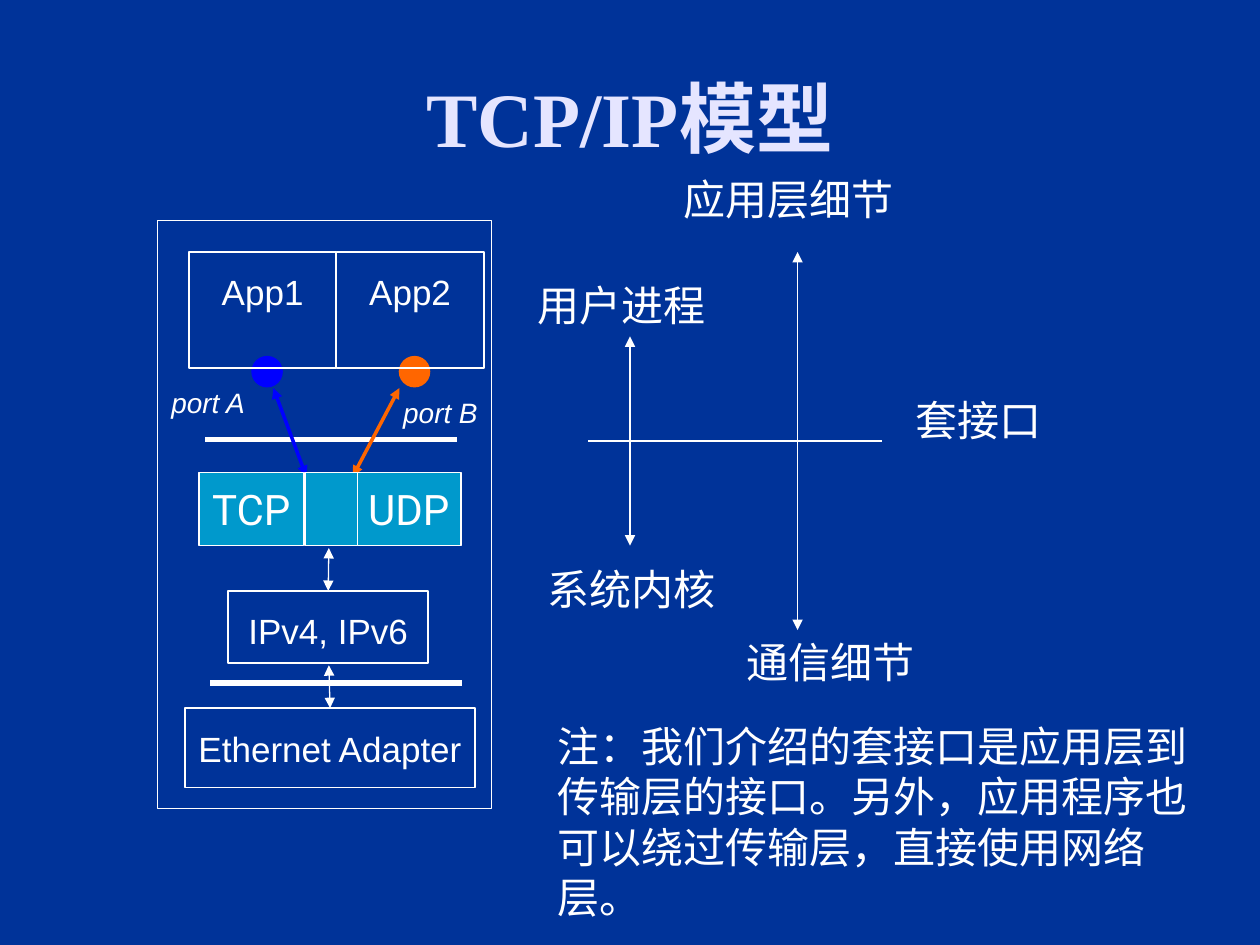
from dataclasses import dataclass
from typing import Optional

from lxml.etree import SubElement
from pptx import Presentation
from pptx.dml.color import RGBColor
from pptx.enum.shapes import MSO_CONNECTOR, MSO_SHAPE
from pptx.enum.text import MSO_ANCHOR, MSO_AUTO_SIZE, PP_ALIGN
from pptx.oxml.ns import qn
from pptx.util import Inches, Pt

COLORS = {
    "background": "003399",
    "title": "E5E5FF",
    "white": "FFFFFF",
    "transport": "0099CC",
    "tcp": "0000FF",
    "udp": "FF6600",
}


@dataclass
class Text:
    text: str
    size: float = 24
    font: str = "Roboto"
    color: str = "white"
    bold: bool = False
    italic: bool = False
    align: PP_ALIGN = PP_ALIGN.LEFT
    anchor: MSO_ANCHOR = MSO_ANCHOR.TOP
    margins: tuple[float, float] = (0.1, 0.05)
    wrap: bool = True
    grow: bool = False


@dataclass
class Box:
    left: float
    top: float
    width: float
    height: float
    text: Optional[Text] = None
    fill: Optional[str] = None
    line: str = "white"
    weight: float = 0.75
    shape: MSO_SHAPE = MSO_SHAPE.RECTANGLE


@dataclass
class Line:
    x1: float
    y1: float
    x2: float
    y2: float
    color: str = "white"
    weight: float = 0.75
    arrows: bool = False


def rgb(name: str) -> RGBColor:
    return RGBColor.from_string(COLORS[name])


def write(sp, t: Text) -> None:
    tf = sp.text_frame
    tf.word_wrap = t.wrap
    tf.auto_size = MSO_AUTO_SIZE.SHAPE_TO_FIT_TEXT if t.grow else MSO_AUTO_SIZE.NONE
    tf.vertical_anchor = t.anchor
    tf.margin_left = tf.margin_right = Inches(t.margins[0])
    tf.margin_top = tf.margin_bottom = Inches(t.margins[1])
    p = tf.paragraphs[0]
    p.text = t.text
    p.alignment = t.align
    p._p.get_or_add_pPr().set("hangingPunct", "0")
    p.font.size = Pt(t.size)
    p.font.name = t.font
    p.font.bold = t.bold
    p.font.italic = t.italic
    p.font.color.rgb = rgb(t.color)


def add_box(s, b: Box):
    sp = s.shapes.add_shape(
        b.shape, Inches(b.left), Inches(b.top), Inches(b.width), Inches(b.height))
    sp.shadow.inherit = False
    if b.fill:
        sp.fill.solid()
        sp.fill.fore_color.rgb = rgb(b.fill)
    else:
        sp.fill.background()
    sp.line.color.rgb = rgb(b.line)
    sp.line.width = Pt(b.weight)
    if b.text:
        write(sp, b.text)
    return sp


def add_label(s, left: float, top: float, width: float, height: float, t: Text) -> None:
    write(s.shapes.add_textbox(Inches(left), Inches(top), Inches(width), Inches(height)), t)


def add_line(s, n: Line):
    c = s.shapes.add_connector(
        MSO_CONNECTOR.STRAIGHT, Inches(n.x1), Inches(n.y1), Inches(n.x2), Inches(n.y2))
    c.line.color.rgb = rgb(n.color)
    c.line.width = Pt(n.weight)
    if n.arrows:
        ln = c.line._get_or_add_ln()
        for end in ("a:headEnd", "a:tailEnd"):
            SubElement(ln, qn(end), type="triangle")
    SubElement(c._element.spPr, qn("a:effectLst"))
    return c


def layer_text(text: str) -> Text:
    return Text(text, 20, "Arial", align=PP_ALIGN.CENTER, margins=(0.1, 0.15), wrap=False)


def transport_text(text: str) -> Text:
    return Text(text, align=PP_ALIGN.CENTER, anchor=MSO_ANCHOR.MIDDLE, wrap=False)


def port_text(text: str) -> Text:
    return Text(text, 16, "Arial", italic=True, margins=(0.11, 0.06), wrap=False)


def draw_stack(s) -> None:
    ipv = add_box(s, Box(1.81, 4.69, 1.59, 0.57, layer_text("IPv4, IPv6"), weight=1))
    ethernet = add_box(s, Box(1.47, 5.62, 2.3, 0.63, layer_text("Ethernet Adapter"), weight=1))
    for target, top, bottom in ((ipv, 4.35, 4.69), (ethernet, 5.28, 5.62)):
        add_line(s, Line(2.61, top, 2.61, bottom, arrows=True)).end_connect(target, 0)
    add_box(s, Box(1.25, 1.75, 2.65, 4.67))
    for left, y in ((1.63, 3.49), (1.67, 5.42)):
        add_line(s, Line(left, y, left + 2, y, weight=3))
    for color, left, x1, x2 in (("tcp", 2, 2.17, 2.43), ("udp", 3.17, 3.17, 2.8)):
        add_box(s, Box(left, 2.83, 0.24, 0.24, fill=color, line=color, shape=MSO_SHAPE.OVAL))
        add_line(s, Line(x1, 3.08, x2, 3.78, color, 2, True))
    for i, name in enumerate(("App1", "App2")):
        add_box(s, Box(1.5 + 1.17 * i, 2, 1.17, 0.92, layer_text(name), weight=1))
    for name, left, top in (("port A", 1.25, 3), ("port B", 3.09, 3.08)):
        add_label(s, left, top, 0.85, 0.38, port_text(name))
    for name, left in (("TCP", 1.58), ("UDP", 2.83)):
        add_box(s, Box(left, 3.75, 0.83, 0.58, transport_text(name), "transport"))
    add_box(s, Box(2.42, 3.75, 0.42, 0.58, fill="transport"))


def draw_boundary(s) -> None:
    add_line(s, Line(4.67, 3.5, 7, 3.5))
    add_line(s, Line(5, 2.67, 5, 4.33, arrows=True))
    add_line(s, Line(6.33, 2, 6.33, 5, arrows=True))
    note = "注：我们介绍的套接口是应用层到传输层的接口。另外，应用程序也可以绕过传输层，直接使用网络层。"
    for left, top, width, height, text in (
        (4.17, 2.17, 1.58, 0.5, "用户进程"),
        (4.25, 4.42, 1.58, 0.5, "系统内核"),
        (5.33, 1.33, 2.17, 0.5, "应用层细节"),
        (5.83, 5, 1.67, 0.5, "通信细节"),
        (4.33, 5.67, 5.33, 1.3, note),
        (7.17, 3.08, 2.08, 0.5, "套接口"),
    ):
        add_label(s, left, top, width, height, Text(text, grow=True))


def main() -> None:
    prs = Presentation()
    prs.slide_width, prs.slide_height = Inches(10), Inches(7.5)
    s = prs.slides.add_slide(prs.slide_layouts[6])
    s.background.fill.solid()
    s.background.fill.fore_color.rgb = rgb("background")
    add_label(s, 0.5, 0.3, 9, 1.25, Text(
        "TCP/IP模型", 44, "Times New Roman", "title", bold=True,
        align=PP_ALIGN.CENTER, anchor=MSO_ANCHOR.MIDDLE))
    draw_stack(s)
    draw_boundary(s)
    prs.save("out.pptx")


if __name__ == "__main__":
    main()
